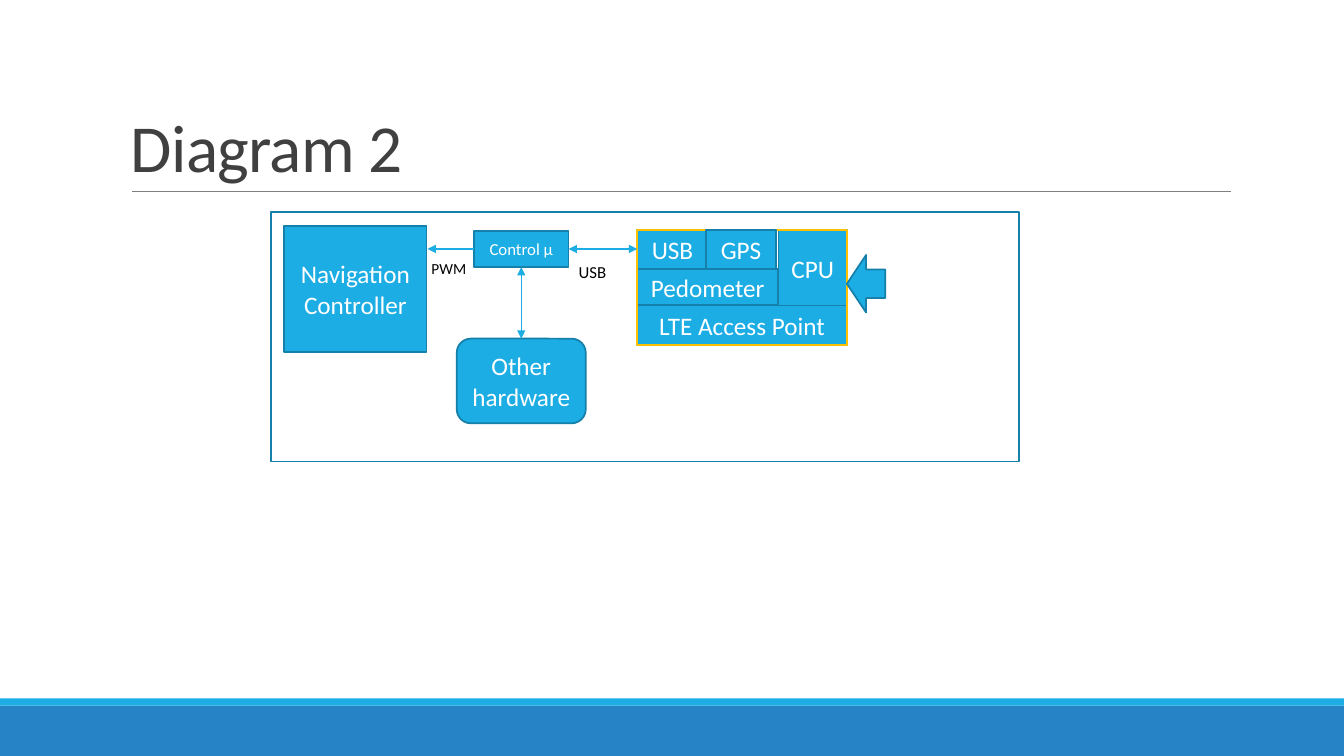
from dataclasses import dataclass
from typing import Optional

from lxml import etree
from pptx import Presentation
from pptx.dml.color import RGBColor
from pptx.enum.shapes import MSO_CONNECTOR, MSO_SHAPE
from pptx.enum.text import MSO_ANCHOR, MSO_AUTO_SIZE, PP_ALIGN
from pptx.oxml.ns import qn
from pptx.util import Inches, Pt

RECT, ROUND = MSO_SHAPE.RECTANGLE, MSO_SHAPE.ROUNDED_RECTANGLE
ARROW = MSO_SHAPE.RIGHT_ARROW
STRAIGHT = MSO_CONNECTOR.STRAIGHT
MIDDLE, BOTTOM, TOP = MSO_ANCHOR.MIDDLE, MSO_ANCHOR.BOTTOM, MSO_ANCHOR.TOP
CENTER, LEFT = PP_ALIGN.CENTER, PP_ALIGN.LEFT
FIT_SHAPE, FIT_NONE = MSO_AUTO_SIZE.SHAPE_TO_FIT_TEXT, MSO_AUTO_SIZE.NONE


@dataclass(frozen=True)
class Theme:
    font: str = "Calibri"
    accent: str = "1CADE4"
    edge: str = "1580A9"
    footer: str = "2683C6"
    frame: str = "FFC000"
    rule: str = "808080"
    title: str = "404040"
    light: str = "FFFFFF"
    dark: str = "000000"
    title_size: float = 48
    body_size: float = 18
    small_size: float = 12
    tiny_size: float = 11


THEME = Theme()


@dataclass(frozen=True)
class Box:
    at: tuple[float, float, float, float]
    text: str = ""
    size: float = THEME.body_size
    kind: int = RECT
    fill: Optional[str] = THEME.accent
    line: Optional[str] = THEME.edge
    width: float = 1.25
    rotation: float = 0


@dataclass(frozen=True)
class Label:
    at: tuple[float, float, float, float]
    text: str
    size: float
    color: str = THEME.dark
    title: bool = False


@dataclass(frozen=True)
class Link:
    start: tuple[float, float]
    end: tuple[float, float]
    ends: tuple[str, ...] = ("headEnd", "tailEnd")
    color: str = THEME.accent
    width: float = 1


BARS = [
    Box((0, 7, 13.33, 0.5), fill=THEME.footer, line=None),
    Box((0, 6.93, 13.33, 0.07), line=None),
]
TITLE_RULE = Link((1.31, 1.9), (12.21, 1.9), (), THEME.rule, 0.5)

# Phone block: rows of modules inside one frame
PHONE_X, PHONE_Y, PHONE_W, PHONE_H = 6.32, 2.28, 2.08, 1.14
MODULE_W, MODULE_H = 0.7, 0.39
CPU_X = PHONE_X + 2 * MODULE_W
LTE_Y = PHONE_Y + PHONE_H - MODULE_H
BUS_Y, HUB_X = 2.47, 5.17

BOXES = [
    Box((2.69, 2.1, 7.42, 2.48), fill=None),
    Box((2.82, 2.24, 1.41, 1.25), "Navigation Controller"),
    Box((CPU_X, PHONE_Y, 0.68, 0.76), "CPU"),
    Box((PHONE_X, PHONE_Y, MODULE_W, MODULE_H), "USB"),
    Box((PHONE_X, PHONE_Y + MODULE_H, 2 * MODULE_W, 0.36), "Pedometer"),
    Box((PHONE_X, LTE_Y, PHONE_W, MODULE_H), "LTE Access Point"),
    Box((PHONE_X, PHONE_Y, PHONE_W, PHONE_H), fill=None,
        line=THEME.frame, width=1.5),
    Box((7, PHONE_Y, MODULE_W, MODULE_H), "GPS"),
    Box((PHONE_X + PHONE_W, 2.53, 0.38, 0.57), kind=ARROW, rotation=180),
    Box((4.7, 2.29, 0.94, 0.36), "Control µ", THEME.small_size),
    Box((4.53, 3.36, 1.28, 0.84), "Other hardware", kind=ROUND),
]
LABELS = [
    Label((1.2, 0.31, 11, 1.59), "Diagram 2", THEME.title_size,
          THEME.title, True),
    Label((5.64, 2.55, 0.48, 0.3), "USB", THEME.small_size),
    Label((4.18, 2.52, 0.55, 0.29), "PWM", THEME.tiny_size),
]
LINKS = [
    Link((4.7, BUS_Y), (4.24, BUS_Y), ("tailEnd",)),
    Link((5.64, BUS_Y), (PHONE_X, BUS_Y)),
    Link((HUB_X, 2.65), (HUB_X, 3.36)),
]


def set_all(target, values: dict) -> None:
    for name, value in values.items():
        setattr(target, name, value)


def write(s, text: str, size: float, color: str, align, frame: dict):
    """Fill a shape's text frame and return its run."""
    tf = s.text_frame
    set_all(tf, frame)
    p = tf.paragraphs[0]
    p.alignment = align
    r = p.add_run()
    r.text = text
    set_all(r.font, {"name": THEME.font, "size": Pt(size)})
    r.font.color.rgb = RGBColor.from_string(color)
    return r


def add_box(slide, box: Box) -> None:
    s = slide.shapes.add_shape(box.kind, *map(Inches, box.at))
    s.shadow.inherit = False
    s.rotation = box.rotation
    if box.fill:
        s.fill.solid()
        s.fill.fore_color.rgb = RGBColor.from_string(box.fill)
    else:
        s.fill.background()
    if box.line:
        s.line.color.rgb = RGBColor.from_string(box.line)
        s.line.width = Pt(box.width)
    else:
        s.line.fill.background()
    if box.text:
        write(s, box.text, box.size, THEME.light, CENTER,
              {"word_wrap": True, "vertical_anchor": MIDDLE})


def add_label(slide, label: Label) -> None:
    s = slide.shapes.add_textbox(*map(Inches, label.at))
    r = write(s, label.text, label.size, label.color, LEFT, {
        "word_wrap": label.title,
        "auto_size": FIT_NONE if label.title else FIT_SHAPE,
        "vertical_anchor": BOTTOM if label.title else TOP,
    })
    if label.title:
        s.text_frame.paragraphs[0].line_spacing = 0.85
        r.font._element.set("spc", "-50")


def add_link(slide, link: Link) -> None:
    s = slide.shapes.add_connector(
        STRAIGHT, *map(Inches, link.start + link.end))
    s.line.color.rgb = RGBColor.from_string(link.color)
    s.line.width = Pt(link.width)
    ln = s.line._get_or_add_ln()
    for end in link.ends:
        etree.SubElement(ln, qn(f"a:{end}")).set("type", "triangle")
    etree.SubElement(s._element.spPr, qn("a:effectLst"))


def main() -> None:
    prs = Presentation()
    set_all(prs, {"slide_width": Inches(13.33), "slide_height": Inches(7.5)})
    slide = prs.slides.add_slide(prs.slide_layouts[6])
    for box in BARS + BOXES:
        add_box(slide, box)
    for label in LABELS:
        add_label(slide, label)
    for link in [TITLE_RULE] + LINKS:
        add_link(slide, link)
    prs.save("out.pptx")


if __name__ == "__main__":
    main()
